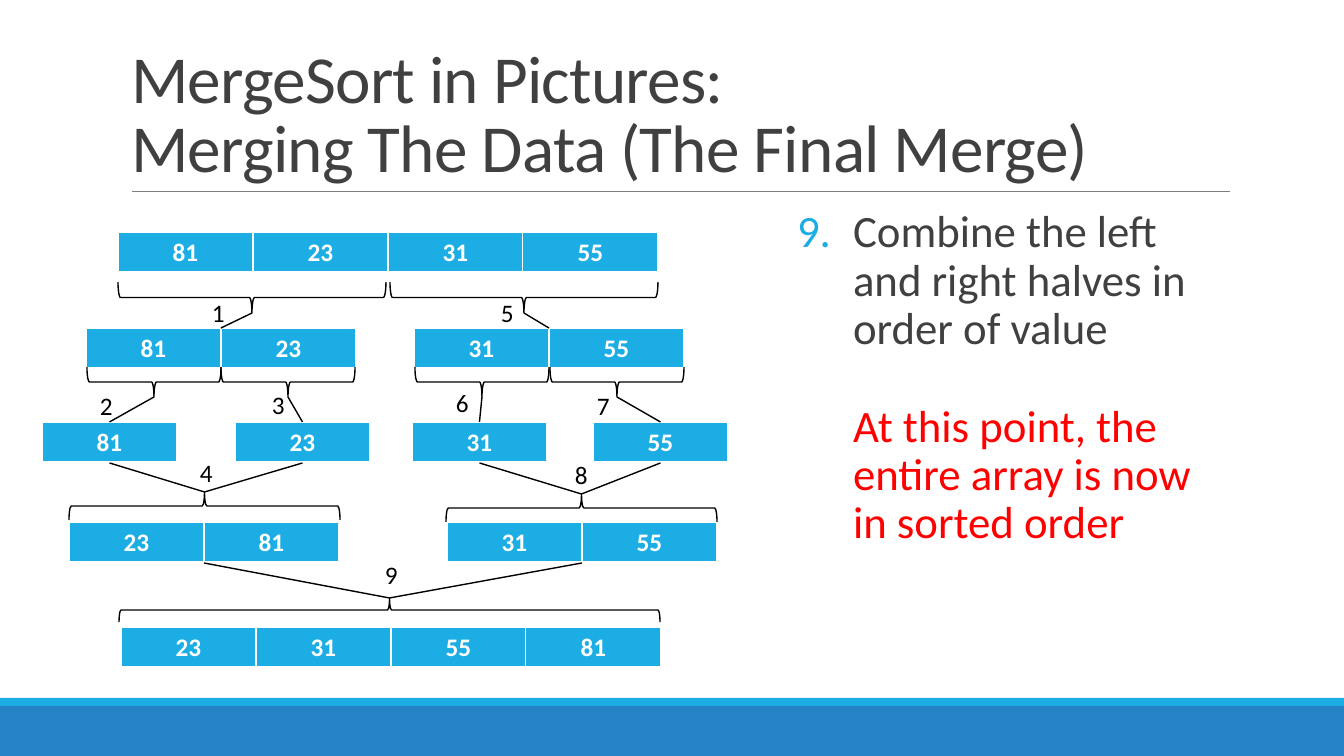
from lxml.etree import SubElement
from pptx import Presentation
from pptx.dml.color import RGBColor
from pptx.enum.shapes import MSO_CONNECTOR, MSO_SHAPE
from pptx.enum.text import MSO_ANCHOR, MSO_AUTO_SIZE, PP_ALIGN
from pptx.oxml.ns import qn
from pptx.util import Pt

SCALE = 914400 / 100.8
WIDE, HIGH = 1344, 756
CELL, ROW = 135, 41
FONT = "Calibri"
BLUE = RGBColor(0x1C, 0xAD, 0xE4)
DEEP = RGBColor(0x26, 0x83, 0xC6)
DARK = RGBColor(0x40, 0x40, 0x40)
GRAY = RGBColor(0x80, 0x80, 0x80)
RED = RGBColor(0xFF, 0x00, 0x00)
BLACK = RGBColor(0x00, 0x00, 0x00)
WHITE = RGBColor(0xFF, 0xFF, 0xFF)


def px(*sizes):
    return [round(size * SCALE) for size in sizes]


def style(par, size, color, bold=False):
    for run in par.runs:
        font = run.font
        font.name, font.size, font.bold = FONT, Pt(size), bold
        font.color.rgb = color


def place(shape, box):
    shape.left, shape.top, shape.width, shape.height = px(*box)


def add_line(slide, start, end, color=BLACK, width=1):
    line = slide.shapes.add_connector(MSO_CONNECTOR.STRAIGHT, *px(*start, *end))
    line.line.color.rgb = color
    line.line.width = Pt(width)
    SubElement(line._element.spPr, qn("a:effectLst"))


def add_bar(slide, box, color):
    bar = slide.shapes.add_shape(MSO_SHAPE.RECTANGLE, *px(*box))
    bar.shadow.inherit = False
    bar.fill.solid()
    bar.fill.fore_color.rgb = color
    bar.line.fill.background()


def add_brace(slide, box, turn):
    x, y, w, h = box
    shift = (w - h) / 2
    brace = slide.shapes.add_shape(MSO_SHAPE.LEFT_BRACE, *px(x + shift, y - shift, h, w))
    brace.rotation = turn
    brace.shadow.inherit = False
    brace.fill.background()
    brace.line.color.rgb = BLACK
    brace.line.width = Pt(1)


def add_step(slide, spot, step):
    label = slide.shapes.add_textbox(*px(*spot, 36, 40))
    label.text_frame.word_wrap = True
    label.text_frame.text = str(step)
    style(label.text_frame.paragraphs[0], 18, BLACK)


def edge_cell(cell):
    props = cell._tc.get_or_add_tcPr()
    for side, width in (("L", 1), ("R", 1), ("T", 1), ("B", 3)):
        edge = SubElement(props, qn("a:ln" + side), w=str(Pt(width)))
        SubElement(SubElement(edge, qn("a:solidFill")), qn("a:srgbClr"), val=str(WHITE))


def add_block(slide, x, y, values):
    box = px(x, y, CELL * len(values), ROW)
    table = slide.shapes.add_table(1, len(values), *box).table
    table.horz_banding = False
    for cell, value in zip(table.rows[0].cells, values):
        edge_cell(cell)
        cell.fill.solid()
        cell.fill.fore_color.rgb = BLUE
        cell.text_frame.text = str(value)
        par = cell.text_frame.paragraphs[0]
        par.alignment = PP_ALIGN.CENTER
        style(par, 18, WHITE, True)
    return x + CELL * len(values) / 2, y


def split(slide, box, child, step, spot):
    x, y, w, h = box
    add_brace(slide, box, 270)
    add_line(slide, (x + w / 2, y + h), child)
    add_step(slide, spot, step)


def merge(slide, box, halves, step, spot):
    x, y, w, h = box
    add_brace(slide, box, 90)
    for mid, top in halves:
        add_line(slide, (x + w / 2, y), (mid, top + ROW))
    add_step(slide, spot, step)


def draw_frame(slide):
    add_bar(slide, (0, 706, WIDE, 50), DEEP)
    add_bar(slide, (0, 698, WIDE, 8), BLUE)
    add_line(slide, (132, 191), (1230, 191), GRAY, 0.5)


def draw_title(slide, box):
    title = slide.shapes.title
    place(title, box)
    frame = title.text_frame
    frame.text = "MergeSort in Pictures:\vMerging The Data (The Final Merge)"
    frame.auto_size = MSO_AUTO_SIZE.NONE
    frame.vertical_anchor = MSO_ANCHOR.BOTTOM
    par = frame.paragraphs[0]
    par.alignment = PP_ALIGN.LEFT
    par.line_spacing = 0.85
    style(par, 48, DARK)
    for run in par.runs:
        run.font._element.set("spc", "-50")


def draw_notes(slide, box):
    body = slide.placeholders[1]
    place(body, box)
    frame = body.text_frame
    frame.text = ("Combine the left and right halves in order of value\n"
                  "At this point, the entire array is now in sorted order")
    frame.auto_size = MSO_AUTO_SIZE.NONE
    frame.margin_left = frame.margin_right = 0
    looks = ((DARK, 2, -56), (RED, 31, 0))
    for par, (color, gap, indent) in zip(frame.paragraphs, looks):
        par.line_spacing = 0.9
        par.space_before, par.space_after = Pt(gap), Pt(4)
        style(par, 32, color)
        props = par._p.get_or_add_pPr()
        left, hang = px(79, indent)
        props.set("marL", str(left))
        props.set("indent", str(hang))
        if indent:
            SubElement(SubElement(props, qn("a:buClr")), qn("a:srgbClr"), val=str(BLUE))
            SubElement(props, qn("a:buFont"), typeface=FONT)
            SubElement(props, qn("a:buAutoNum"), type="arabicPeriod", startAt="9")
        else:
            SubElement(props, qn("a:buNone"))


def draw_tree(slide, x, y):
    def block(dx, dy, *values):
        return add_block(slide, x + dx, y + dy, values)

    def join(draw, box, ends, step, spot):
        dx, dy, w, h = box
        draw(slide, (x + dx, y + dy, w, h), ends, step, (x + spot[0], y + spot[1]))

    block(76, 0, 81, 23, 31, 55)
    pairs = [block(44, 96, 81, 23), block(372, 96, 31, 55)]
    ones = [block(dx, 190, value)
            for dx, value in ((0, 81), (193, 23), (370, 31), (551, 55))]
    sorts = [block(27, 290, 23, 81), block(405, 290, 31, 55)]
    block(79, 395, 23, 31, 55, 81)

    halves = ((76, 1, 160), (348, 5, 449))
    for child, (dx, step, spot) in zip(pairs, halves):
        join(split, (dx, 50, 268, 31), child, step, (spot, 60))
    parts = ((45, 2, 48, 153), (179, 3, 220, 152), (373, 6, 404, 150), (508, 7, 545, 153))
    for child, (dx, step, left, top) in zip(ones, parts):
        join(split, (dx, 135, 134, 30), child, step, (left, top))

    join(merge, (27, 260, 271, 28), ones[:2], 4, (148, 220))
    join(merge, (404, 262, 271, 28), ones[2:], 8, (523, 222))
    join(merge, (77, 366, 541, 24), sorts, 9, (333, 322))


def main():
    deck = Presentation()
    deck.slide_width, deck.slide_height = px(WIDE, HIGH)
    slide = deck.slides.add_slide(deck.slide_layouts[1])
    draw_frame(slide)
    draw_title(slide, (121, 31, 1109, 160))
    draw_notes(slide, (774, 204, 456, 444))
    draw_tree(slide, 42, 232)
    deck.save("out.pptx")


if __name__ == "__main__":
    main()
